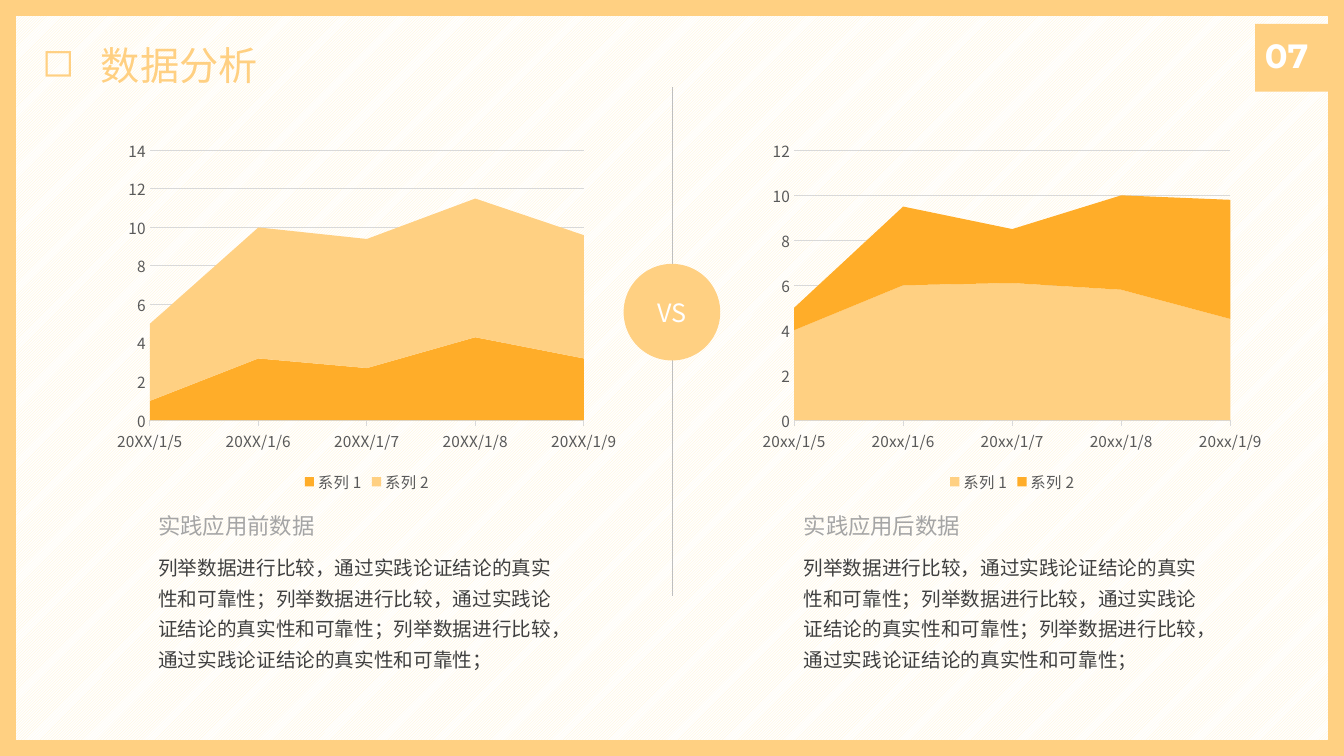
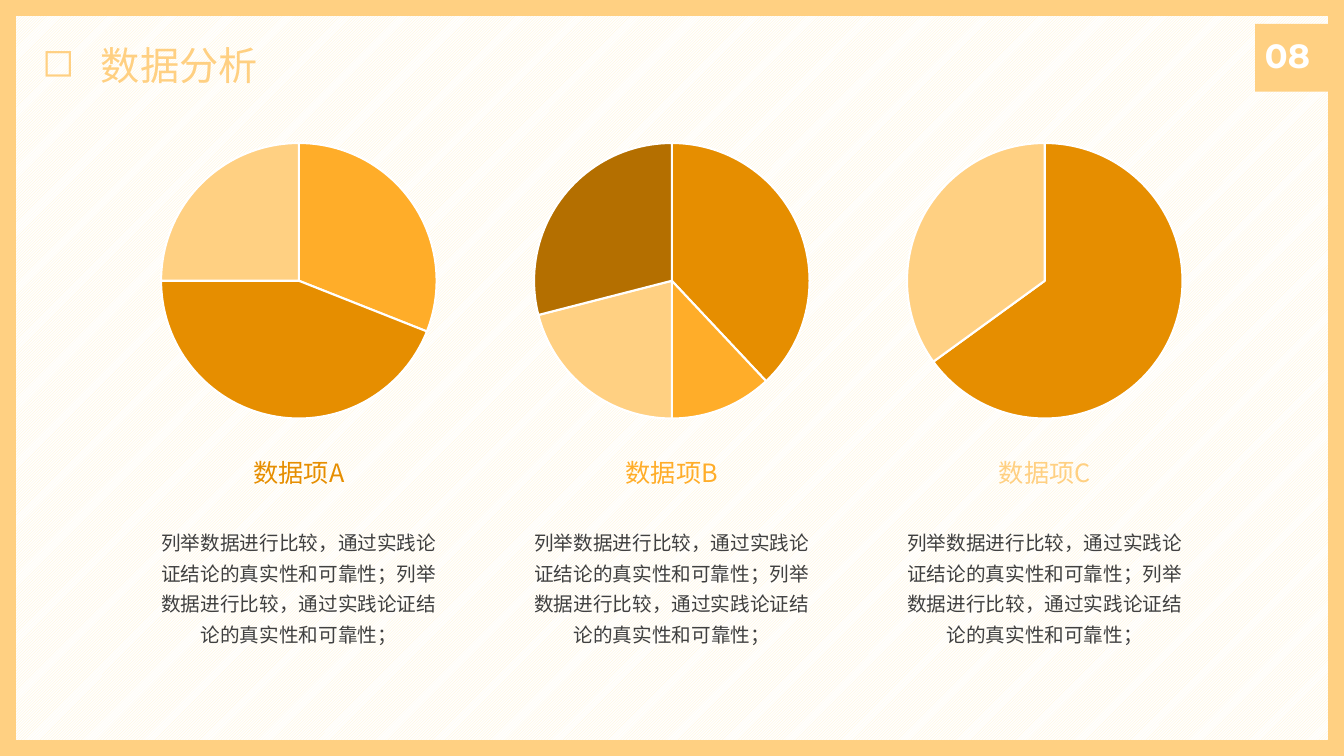
import dataclasses
import typing

import lxml.etree
import pptx
import pptx.chart.chart
import pptx.chart.data
import pptx.dml.color
import pptx.dml.fill
import pptx.enum.chart
import pptx.enum.dml
import pptx.enum.shapes
import pptx.enum.text
import pptx.oxml.ns
import pptx.shapes.autoshape
import pptx.shapes.base
import pptx.slide
import pptx.text.text
import pptx.util

Pt = pptx.util.Pt
qn = pptx.oxml.ns.qn
Align = pptx.enum.text.PP_ALIGN
Kind = pptx.enum.chart.XL_CHART_TYPE
Mark = pptx.enum.chart.XL_TICK_MARK
Form = pptx.enum.shapes.MSO_SHAPE

COLORS = {
    "pale": "FFD082", "bright": "FFAD29", "deep": "E68E00", "brown": "B46F00",
    "white": "FFFFFF", "cream": "FFF2CC", "body": "404040", "muted": "A5A5A5",
    "axis": "595959", "grid": "D9D9D9", "rule": "BFBFBF",
}
SANS = "Noto Sans CJK SC"
CLAUSE = "列举数据进行比较，通过实践论证结论的真实性和可靠性；"


@dataclasses.dataclass(frozen=True)
class Box:
    left: float
    top: float
    width: float
    height: float

    def shift(self, step: float) -> "Box":
        return dataclasses.replace(self, left=self.left + step)

    def lengths(self) -> list[pptx.util.Length]:
        return [Pt(n) for n in (self.left, self.top, self.width, self.height)]


@dataclasses.dataclass(frozen=True)
class Style:
    size: float
    color: str
    face: str = SANS
    bold: bool = False
    align: Align = Align.LEFT
    line: float = 1.3
    before: float = 0


@dataclasses.dataclass(frozen=True)
class Area:
    head: str
    stem: str
    series: tuple[tuple[float, ...], ...]
    colors: tuple[str, ...]


@dataclasses.dataclass(frozen=True)
class Pie:
    head: str
    tint: str
    values: tuple[int, ...]
    colors: tuple[str, ...]


AREAS = (
    Area("实践应用前数据", "20XX/1/",
         ((1, 3.2, 2.7, 4.3, 3.2), (4, 6.8, 6.7, 7.2, 6.4)), ("bright", "pale")),
    Area("实践应用后数据", "20xx/1/",
         ((4, 6, 6.1, 5.8, 4.5), (1, 3.5, 2.4, 4.2, 5.3)), ("pale", "bright")),
)
PIES = (
    Pie("数据项A", "deep", (31, 44, 25), ("bright", "deep", "pale")),
    Pie("数据项B", "bright", (38, 12, 21, 29), ("deep", "bright", "pale", "brown")),
    Pie("数据项C", "pale", (65, 35), ("deep", "pale")),
)


def tone(name: str) -> pptx.dml.color.RGBColor:
    return pptx.dml.color.RGBColor.from_string(COLORS[name])


def paint(fill: pptx.dml.fill.FillFormat, name: str) -> None:
    fill.solid()
    fill.fore_color.rgb = tone(name)


def set_font(font: pptx.text.text.Font, style: Style) -> None:
    font.size = Pt(style.size)
    font.name = style.face
    font.bold = style.bold
    font.color.rgb = tone(style.color)


def set_asian(root: lxml.etree._Element) -> None:
    for latin in list(root.iter(qn("a:latin"))):
        asian = lxml.etree.Element(qn("a:ea"), typeface=latin.get("typeface"))
        latin.addnext(asian)


def write(shape: pptx.shapes.autoshape.Shape, text: str, style: Style) -> pptx.text.text._Paragraph:
    para = shape.text_frame.paragraphs[0]
    para.text = text
    para.alignment = style.align
    para.line_spacing = style.line
    para.space_before = Pt(style.before)
    set_font(para.font, style)
    set_asian(shape.element)
    return para


def add_text(slide: pptx.slide.Slide, box: Box, text: str, style: Style,
             wrap: bool = True, grow: bool = True) -> pptx.text.text._Paragraph:
    shape = slide.shapes.add_textbox(*box.lengths())
    shape.text_frame.word_wrap = wrap
    if grow:
        shape.text_frame.auto_size = pptx.enum.text.MSO_AUTO_SIZE.SHAPE_TO_FIT_TEXT
    return write(shape, text, style)


def add_form(slide: pptx.slide.Slide, form: Form, box: Box) -> pptx.shapes.autoshape.Shape:
    shape = slide.shapes.add_shape(form, *box.lengths())
    shape.shadow.inherit = False
    paint(shape.fill, "pale")
    shape.line.fill.background()
    shape.text_frame.vertical_anchor = pptx.enum.text.MSO_ANCHOR.MIDDLE
    return shape


def add_chart(slide: pptx.slide.Slide, kind: Kind, box: Box, cats: typing.Iterable[str],
              series: dict[str, tuple[float, ...]], style: Style) -> pptx.chart.chart.Chart:
    data = pptx.chart.data.CategoryChartData()
    data.categories = cats
    for name, values in series.items():
        data.add_series(name, values)
    chart = slide.shapes.add_chart(kind, *box.lengths(), data).chart
    chart.has_title = False
    chart.has_legend = False
    set_font(chart.font, style)
    return chart


def add_area(slide: pptx.slide.Slide, box: Box, area: Area) -> None:
    style = Style(11, "axis")
    cats = [f"{area.stem}{day}" for day in range(5, 10)]
    series = {f"系列 {num}": values for num, values in enumerate(area.series, 1)}
    chart = add_chart(slide, Kind.AREA_STACKED, box, cats, series, style)
    for item, color in zip(chart.plots[0].series, area.colors):
        paint(item.format.fill, color)
    base, scale = chart.category_axis, chart.value_axis
    base.major_tick_mark = Mark.OUTSIDE
    scale.major_tick_mark = Mark.NONE
    base.has_major_gridlines = False
    scale.has_major_gridlines = True
    for line in (base.format.line, scale.major_gridlines.format.line):
        paint(line.fill, "grid")
        line.width = Pt(0.75)
    scale.format.line.fill.background()
    chart.has_legend = True
    chart.legend.position = pptx.enum.chart.XL_LEGEND_POSITION.BOTTOM
    chart.legend.include_in_layout = False
    for part in (base.tick_labels, scale.tick_labels, chart.legend):
        set_font(part.font, style)
    set_asian(chart.element)


def add_pie(slide: pptx.slide.Slide, box: Box, pie: Pie) -> None:
    cats = [str(num) for num in range(1, len(pie.values) + 1)]
    chart = add_chart(slide, Kind.PIE, box, cats, {"Series 1": pie.values}, Style(10, "body"))
    plot = chart.plots[0]
    plot.vary_by_categories = True
    for index, color in enumerate(pie.colors):
        point = plot.series[0].points[index].format
        paint(point.fill, color)
        paint(point.line.fill, "white")
        point.line.width = Pt(1.5)
    set_asian(chart.element)


def add_rule(slide: pptx.slide.Slide, x: float, top: float, end: float) -> None:
    rule = slide.shapes.add_connector(
        pptx.enum.shapes.MSO_CONNECTOR.STRAIGHT, Pt(x), Pt(top), Pt(x), Pt(end))
    paint(rule.line.fill, "rule")
    rule.line.width = Pt(0.5)
    lxml.etree.SubElement(rule.element.spPr, qn("a:effectLst"))


def add_title(slide: pptx.slide.Slide, text: str) -> None:
    style = Style(28, "pale", line=0.9, before=10)
    para = add_text(slide, Box(23, 29.5, 417, 42), text, style, grow=False)
    props = para._p.get_or_add_pPr()
    props.set("marL", str(Pt(42)))
    props.set("indent", str(-Pt(42)))
    bullet = lxml.etree.Element(qn("a:buChar"), char="◻")
    props.find(qn("a:defRPr")).addprevious(bullet)


def start(deck: pptx.presentation.Presentation, number: str) -> pptx.slide.Slide:
    slide = deck.slides.add_slide(deck.slide_layouts[6])
    frame = add_form(slide, Form.FRAME, Box(0, 0, 960, 540))
    frame.adjustments[0] = 0.021
    badge = add_form(slide, Form.RECTANGLE, Box(896.5, 17, 63.5, 48.5))
    write(badge, number, Style(24, "white", "Montserrat", True, line=0.9, before=10))
    add_title(slide, "数据分析")
    return slide


def compare(deck: pptx.presentation.Presentation) -> None:
    slide = start(deck, "07")
    add_rule(slide, 480, 62, 426)
    badge = add_form(slide, Form.OVAL, Box(445.5, 188.5, 69, 69))
    write(badge, "VS", Style(18, "white", align=Align.CENTER, line=1.0))
    for index, area in enumerate(AREAS):
        step = index * 461
        add_area(slide, Box(76.3, 94.3, 371.5, 260.6).shift(step), area)
        add_text(slide, Box(106, 356.4, 127.4, 32).shift(step), area.head,
                 Style(16, "muted"), wrap=False)
        add_text(slide, Box(106, 388.8, 303, 94).shift(step), CLAUSE * 3, Style(14, "body"))


def divide(deck: pptx.presentation.Presentation) -> None:
    slide = start(deck, "08")
    for index, pie in enumerate(PIES):
        step = index * 266.4
        add_pie(slide, Box(103.7, 92.2, 219.6, 216.7).shift(step), pie)
        add_text(slide, Box(173.2, 316.8, 80.6, 33).shift(step), pie.head,
                 Style(18, pie.tint, align=Align.CENTER), wrap=False)
        add_text(slide, Box(103.7, 370.8, 219.6, 96).shift(step), CLAUSE * 2,
                 Style(14, "body", align=Align.CENTER))


def main() -> None:
    deck = pptx.Presentation()
    deck.slide_width, deck.slide_height = Pt(960), Pt(540)
    fill = deck.slide_master.background.fill
    fill.patterned()
    fill.pattern = pptx.enum.dml.MSO_PATTERN.LIGHT_UPWARD_DIAGONAL
    fill.fore_color.rgb = tone("cream")
    fill.back_color.rgb = tone("white")
    compare(deck)
    divide(deck)
    deck.save("out.pptx")


if __name__ == "__main__":
    main()
